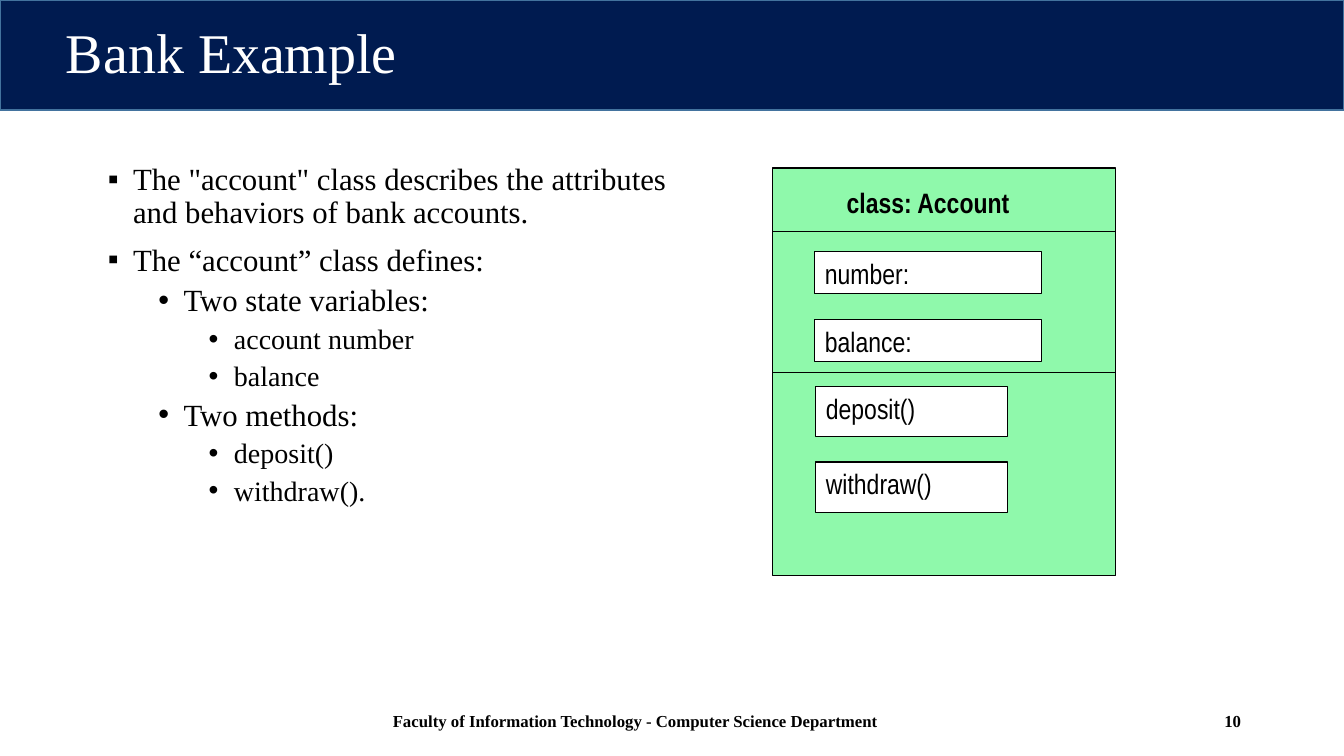
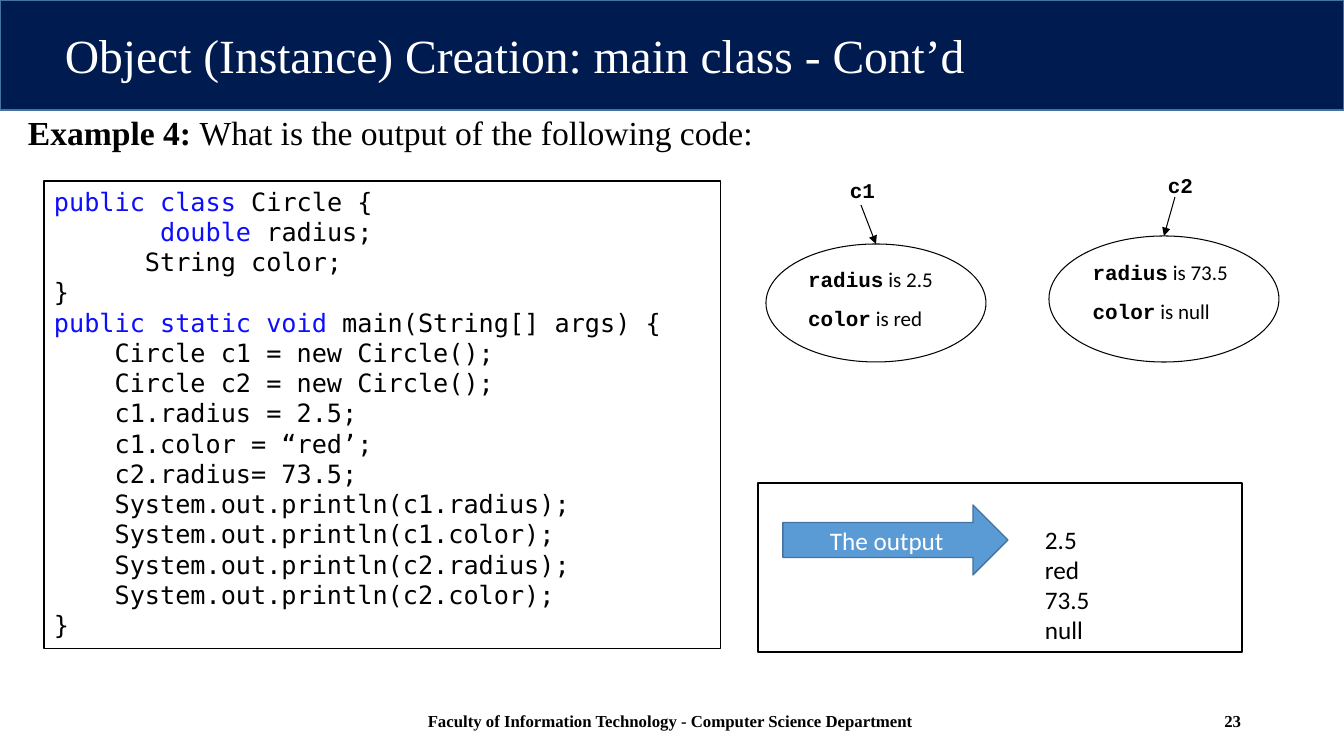
import pptx
import pptx.dml.color
import pptx.enum.shapes
import pptx.enum.text
import pptx.oxml
import pptx.oxml.ns
import pptx.util
from lxml import etree

RGBColor = pptx.dml.color.RGBColor
MSO_SHAPE = pptx.enum.shapes.MSO_SHAPE
ALIGN = pptx.enum.text.PP_ALIGN
ANCHOR = pptx.enum.text.MSO_ANCHOR

SLIDE_WIDTH, SLIDE_HEIGHT = 1344, 756
EMU_PER_PX = 12192000 / SLIDE_WIDTH

NAVY = RGBColor(0x00, 0x1B, 0x50)
STEEL = RGBColor(0x43, 0x73, 0x9E)
SKY = RGBColor(0x5B, 0x9B, 0xD5)
MINT = RGBColor(0x8F, 0xF9, 0xAB)
KEYWORD_BLUE = RGBColor(0x0E, 0x0E, 0xFF)
BLACK = RGBColor(0x00, 0x00, 0x00)
WHITE = RGBColor(0xFF, 0xFF, 0xFF)

SERIF = "Times New Roman"
SANS = "Calibri"
NARROW = "Arial Narrow"
TYPEWRITER = "Courier New"
MONO = "DejaVu Sans Mono"
BULLET_FONT = "Arial"

FOOTER = "Faculty of Information Technology - Computer Science Department"
BULLETS = ["▪", "•", "•"]
BULLET_SIZES = [22, 22, 20]
KEYWORD = {"color": KEYWORD_BLUE}


def px(length):
    return pptx.util.Emu(round(length * EMU_PER_PX))


def write_text(shape, paragraphs, font=SERIF, size=18, color=BLACK, bold=False,
               align=ALIGN.LEFT, anchor=ANCHOR.TOP,
               line_spacing=None, space_after=None):
    frame = shape.text_frame
    frame.word_wrap = True
    frame.vertical_anchor = anchor
    for index, runs in enumerate(paragraphs):
        paragraph = frame.add_paragraph() if index else frame.paragraphs[0]
        paragraph.alignment = align
        paragraph.line_spacing = line_spacing
        if space_after:
            paragraph.space_after = pptx.util.Pt(space_after)
        for item in [runs] if isinstance(runs, str) else runs:
            text, changes = (item, {}) if isinstance(item, str) else item
            run = paragraph.add_run()
            run.text = text
            run.font.name = changes.get("font", font)
            run.font.size = pptx.util.Pt(changes.get("size", size))
            run.font.bold = changes.get("bold", bold)
            run.font.color.rgb = changes.get("color", color)
    return shape


def add_text(slide, box, paragraphs, **text_format):
    shape = slide.shapes.add_textbox(*map(px, box))
    return write_text(shape, paragraphs, **text_format)


def add_box(slide, box, kind=MSO_SHAPE.RECTANGLE, fill=None, line=BLACK, width=0.75):
    shape = slide.shapes.add_shape(kind, *map(px, box))
    shape.shadow.inherit = False
    if fill is None:
        shape.fill.background()
    else:
        shape.fill.solid()
        shape.fill.fore_color.rgb = fill
    shape.line.color.rgb = line
    shape.line.width = pptx.util.Pt(width)
    return shape


def add_line(slide, start, end, width=0.75, target=None):
    connector = slide.shapes.add_connector(
        pptx.enum.shapes.MSO_CONNECTOR.STRAIGHT, *map(px, start + end))
    connector.line.color.rgb = BLACK
    connector.line.width = pptx.util.Pt(width)
    if target is not None:
        connector.end_connect(target, 0)
        line = connector.line._get_or_add_ln()
        etree.SubElement(line, pptx.oxml.ns.qn("a:tailEnd"), type="triangle")
    properties = connector._element.spPr
    etree.SubElement(properties, pptx.oxml.ns.qn("a:effectLst"))
    return connector


def add_bullets(slide, box, items):
    paragraphs = [[(text, {"size": BULLET_SIZES[level]})] for level, text in items]
    shape = add_text(slide, box, paragraphs, line_spacing=0.9)
    for index, (level, _) in enumerate(items):
        paragraph = shape.text_frame.paragraphs[index]
        paragraph.level = level
        if index:
            paragraph.space_before = pptx.util.Pt(5 if level else 10)
        properties = paragraph._p.get_or_add_pPr()
        properties.set("marL", str(pptx.util.Inches(0.25 + 0.5 * level)))
        properties.set("indent", str(pptx.util.Inches(-0.25)))
        etree.SubElement(properties, pptx.oxml.ns.qn("a:buFont"), typeface=BULLET_FONT)
        etree.SubElement(properties, pptx.oxml.ns.qn("a:buChar"), char=BULLETS[level])


def add_frame(presentation, title, title_box, title_size, title_spacing, number, footer_box):
    slide = presentation.slides.add_slide(presentation.slide_layouts[6])
    add_box(slide, (0, 0, SLIDE_WIDTH, 110), fill=NAVY, line=STEEL, width=1)
    add_text(slide, title_box, [title], size=title_size, color=WHITE,
             anchor=ANCHOR.MIDDLE, line_spacing=title_spacing)
    add_text(slide, footer_box, [FOOTER], size=12, bold=True,
             align=ALIGN.CENTER, anchor=ANCHOR.MIDDLE)
    add_text(slide, (949, 701, 302, 40), [number], size=12, bold=True,
             align=ALIGN.RIGHT, anchor=ANCHOR.MIDDLE)
    return slide


def add_instance(slide, name, label_box, ellipse_box, arrow_start, radius, color):
    ellipse = add_box(slide, ellipse_box, MSO_SHAPE.OVAL, WHITE)
    field = {"font": TYPEWRITER, "bold": True}
    write_text(ellipse, [[("radius", field), " is " + radius],
                         [("color", field), " is " + color]],
               font=SANS, size=15, space_after=10)
    add_text(slide, label_box, [name], font=TYPEWRITER, size=15, bold=True)
    left, top, width, _ = ellipse_box
    add_line(slide, arrow_start, (left + width // 2, top), target=ellipse)


def build_bank_slide(presentation):
    slide = add_frame(presentation, "Bank Example", (56, 20, 1159, 71), 40, 0.9,
                      "10", (372, 701, 527, 40))
    add_bullets(slide, (98, 159, 628, 483), [
        (0, "The \"account\" class describes the attributes and behaviors of bank accounts."),
        (0, "The “account” class defines:"),
        (1, "Two state variables:"),
        (2, "account number"),
        (2, "balance"),
        (1, "Two methods:"),
        (2, "deposit()"),
        (2, "withdraw()."),
    ])
    class_left, class_width = 773, 343
    add_box(slide, (class_left, 168, class_width, 408), fill=MINT)
    add_text(slide, (799, 181, 258, 43), ["class: Account"], font=NARROW, size=20,
             bold=True, align=ALIGN.CENTER)
    for top in (231, 372):
        add_line(slide, (class_left, top), (class_left + class_width, top), width=0.5)
    members = [
        ("number:", (815, 252, 227, 42)),
        ("balance:", (815, 320, 227, 42)),
        ("deposit()", (816, 387, 192, 50)),
        ("withdraw()", (816, 462, 192, 51)),
    ]
    for name, box in members:
        write_text(add_box(slide, box, fill=WHITE), [name], font=NARROW, size=20)


def build_circle_slide(presentation):
    slide = add_frame(presentation, "Object (Instance) Creation: main class - Cont’d",
                      (55, 24, 930, 72), 34, 0.8, "23", (412, 701, 517, 40))
    add_text(slide, (18, 107, 1060, 50),
             [[("Example 4: ", {"bold": True}), "What is the output of the following code:"]],
             size=24)
    write_text(add_box(slide, (44, 181, 677, 468)), [
        [("public class ", KEYWORD), "Circle {"],
        ["       ", ("double", KEYWORD), " radius;"],
        "      String color;",
        "}",
        [("public static void ", KEYWORD), "main(String[] args) {"],
        "    Circle c1 = new Circle();",
        "    Circle c2 = new Circle();",
        "    c1.radius = 2.5;",
        "    c1.color = “red’;",
        "    c2.radius= 73.5;",
        "    System.out.println(c1.radius);",
        "    System.out.println(c1.color);",
        "    System.out.println(c2.radius);",
        "    System.out.println(c2.color);",
        "}",
    ], font=MONO)
    add_instance(slide, "c1", (840, 173, 60, 35), (766, 244, 220, 118),
                 (861, 205), "2.5", "red")
    add_instance(slide, "c2", (1158, 168, 60, 35), (1049, 236, 230, 126),
                 (1175, 197), "73.5", "null")
    add_box(slide, (758, 483, 484, 169), width=1)
    arrow = add_box(slide, (783, 505, 225, 70), MSO_SHAPE.RIGHT_ARROW, SKY, STEEL, 1)
    write_text(arrow, ["The output"], font=SANS, color=WHITE,
               align=ALIGN.CENTER, anchor=ANCHOR.MIDDLE)
    add_text(slide, (1035, 519, 208, 132), ["2.5", "red", "73.5", "null"], font=SANS)


def main():
    presentation = pptx.Presentation()
    presentation.slide_width = px(SLIDE_WIDTH)
    presentation.slide_height = px(SLIDE_HEIGHT)
    build_bank_slide(presentation)
    build_circle_slide(presentation)
    presentation.save("out.pptx")


if __name__ == "__main__":
    main()
